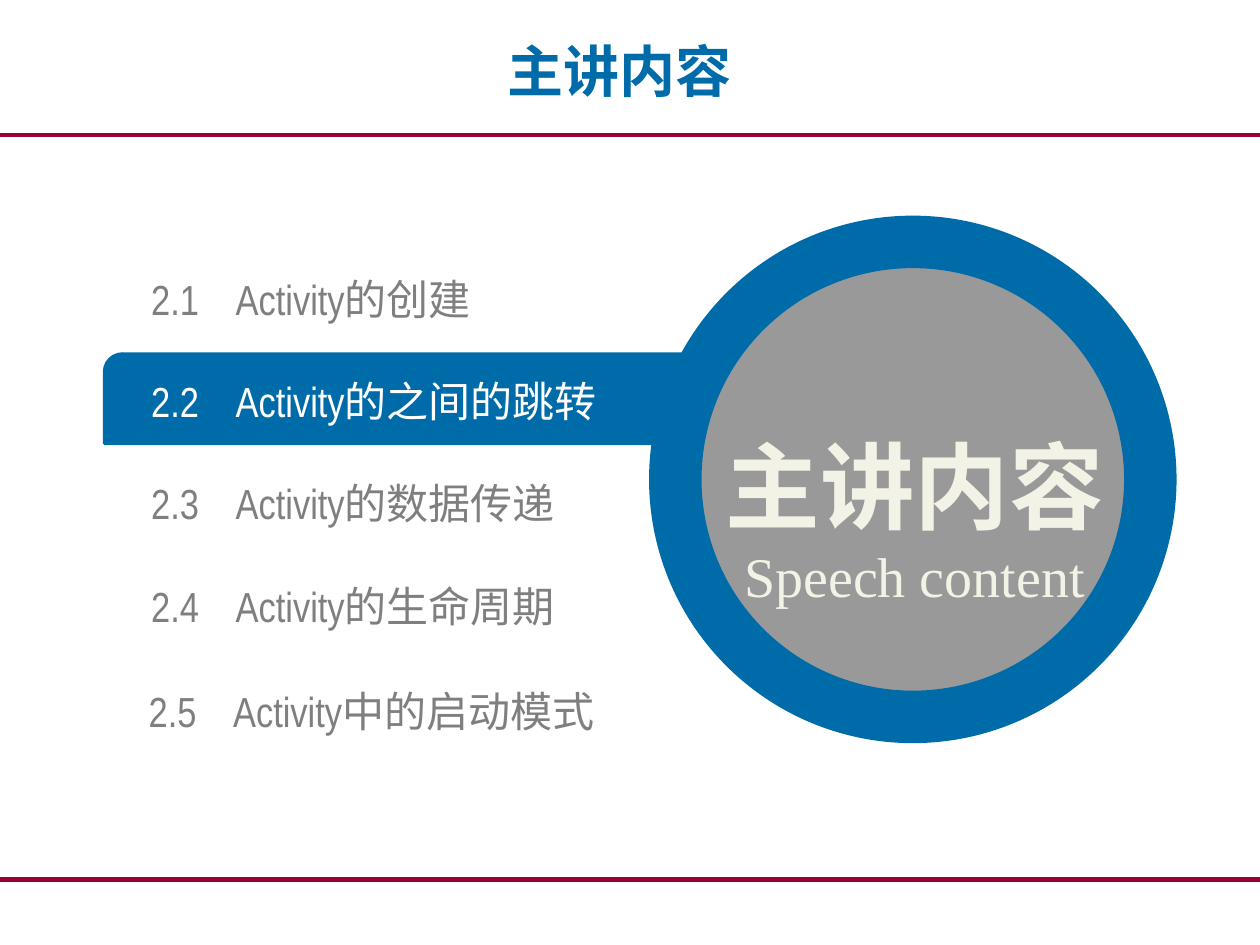
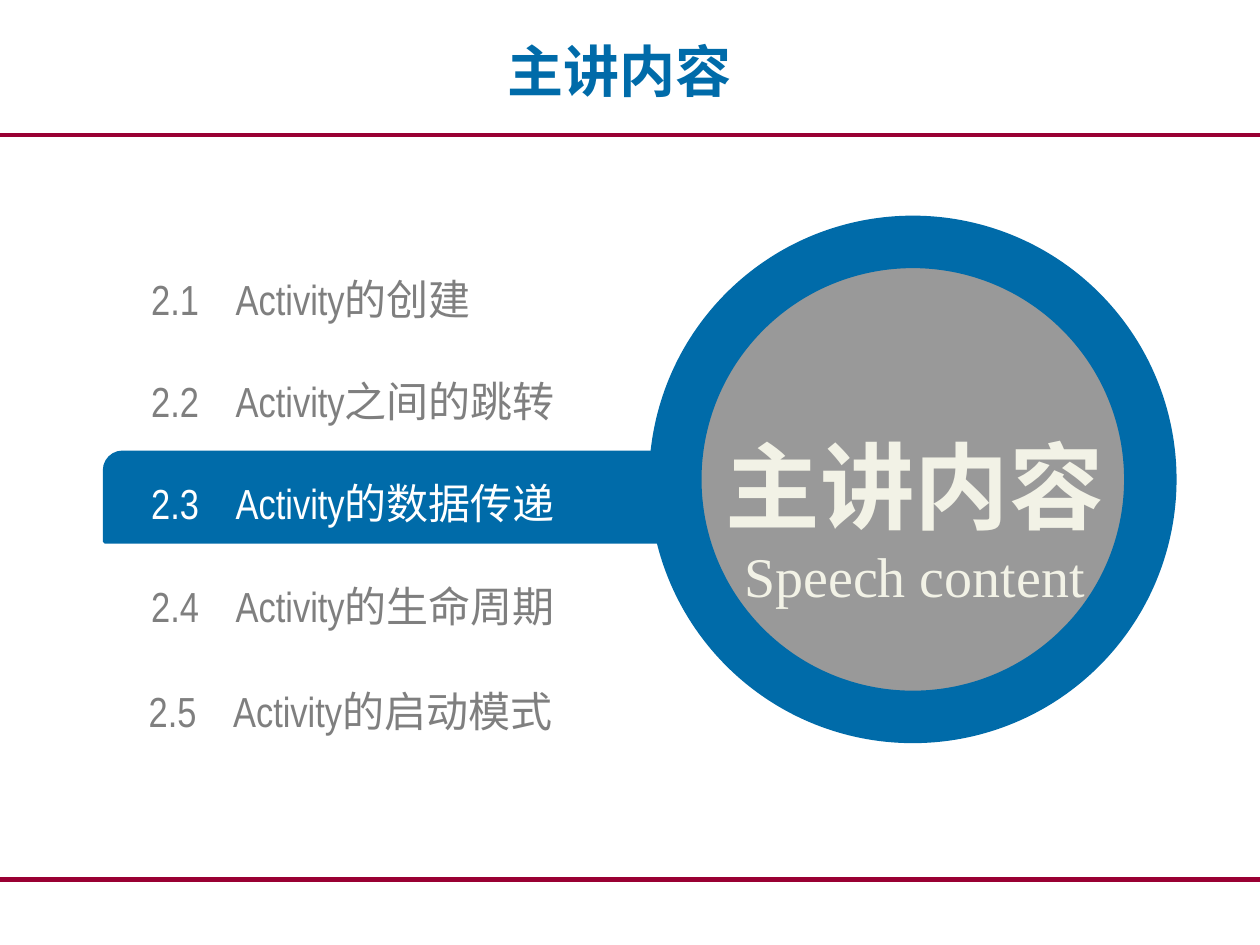
from pptx import Presentation
from pptx.dml.color import RGBColor as RGB
from pptx.enum.shapes import MSO_CONNECTOR as CONN, MSO_SHAPE as SHAPE
from pptx.enum.text import MSO_ANCHOR as ANCHOR, PP_ALIGN as ALIGN
from pptx.oxml.ns import qn
from pptx.util import Inches, Pt
from lxml import etree

CJK = "Noto Sans CJK SC"
BLUE = RGB(0x00, 0x6B, 0xA9)
CREAM = RGB(0xF2, 0xF2, 0xE6)
THEME = {
    "blue": BLUE,
    "red": RGB(0x99, 0x00, 0x33),
    "disc": RGB(0x99, 0x99, 0x99),
    "item": RGB(0x7F, 0x7F, 0x7F),
    "active": RGB(0xFF, 0xFF, 0xFF),
    "title": {"name": CJK, "size": Pt(32), "bold": True},
    "heading": {"name": CJK, "size": Pt(54), "bold": True},
    "subheading": {"name": "Times New Roman", "size": Pt(32), "bold": False},
    "entry": {"name": "Arial Narrow", "size": Pt(24)},
}


def add_text(s, box, lines, margins=(0.1, 0.05), align=ALIGN.CENTER):
    tf = s.shapes.add_textbox(*map(Inches, box)).text_frame
    tf.word_wrap = True
    tf.vertical_anchor = ANCHOR.MIDDLE
    tf.margin_left = tf.margin_right = Inches(margins[0])
    tf.margin_top = tf.margin_bottom = Inches(margins[1])
    for i, (text, style, color, spacing) in enumerate(lines):
        p = tf.add_paragraph() if i else tf.paragraphs[0]
        p.alignment = align
        p.line_spacing = spacing
        r = p.add_run()
        r.text = text
        for key, value in THEME[style].items():
            setattr(r.font, key, value)
        r.font.color.rgb = color
        etree.SubElement(r._r.get_or_add_rPr(), qn("a:ea"), typeface=CJK)
    return tf


def add_shape(s, kind, box, fill, line_width):
    sp = s.shapes.add_shape(kind, *map(Inches, box))
    sp.shadow.inherit = False
    sp.fill.solid()
    sp.fill.fore_color.rgb = fill
    sp.line.color.rgb = THEME["blue"]
    sp.line.width = Pt(line_width)
    return sp


ENTRY_PLACES = [(1.2, 2.17), (1.2, 2.98), (1.2, 3.79), (1.2, 4.61), (1.18, 5.44)]
AGENDAS = [
    {"active": 2, "bar_top": 2.81,
     "entries": ["的创建", "的之间的跳转", "的数据传递", "的生命周期", "中的启动模式"]},
    {"active": 3, "bar_top": 3.59,
     "entries": ["的创建", "之间的跳转", "的数据传递", "的生命周期", "的启动模式"]},
]

prs = Presentation()
prs.slide_width, prs.slide_height = Inches(10), Inches(7.5)

for agenda in AGENDAS:
    s = prs.slides.add_slide(prs.slide_layouts[6])

    for y, width in [(6.98, 3), (1.07, 2)]:
        rule = s.shapes.add_connector(CONN.STRAIGHT, 0, Inches(y), prs.slide_width, Inches(y))
        rule.line.color.rgb = THEME["red"]
        rule.line.width = Pt(width)
        etree.SubElement(rule._element.spPr, qn("a:effectLst"))

    add_text(s, (0.42, 0.06, 9, 0.99), [("主讲内容", "title", BLUE, None)])

    bar = add_shape(s, SHAPE.ROUND_2_DIAG_RECTANGLE, (0.83, agenda["bar_top"], 5.35, 0.71), BLUE, 2)
    bar.adjustments[0] = 0.2
    add_shape(s, SHAPE.OVAL, (5.36, 1.92, 3.77, 3.77), THEME["disc"], 30)

    for n, ((x, y), topic) in enumerate(zip(ENTRY_PLACES, agenda["entries"]), 1):
        color = THEME["active" if n == agenda["active"] else "item"]
        tf = add_text(s, (x, y, 4.19, 0.4), [(f"2.{n}\tActivity{topic}", "entry", color, None)],
                      margins=(0, 0), align=ALIGN.LEFT)
        tabs = etree.SubElement(tf.paragraphs[0]._p.get_or_add_pPr(), qn("a:tabLst"))
        etree.SubElement(tabs, qn("a:tab"), pos=str(Inches(0.67)), algn="l")

    add_text(s, (5.31, 2.89, 3.9, 1.99), [
        ("主讲内容", "heading", CREAM, 1.5),
        ("Speech content", "subheading", CREAM, None),
    ])

prs.save("out.pptx")
